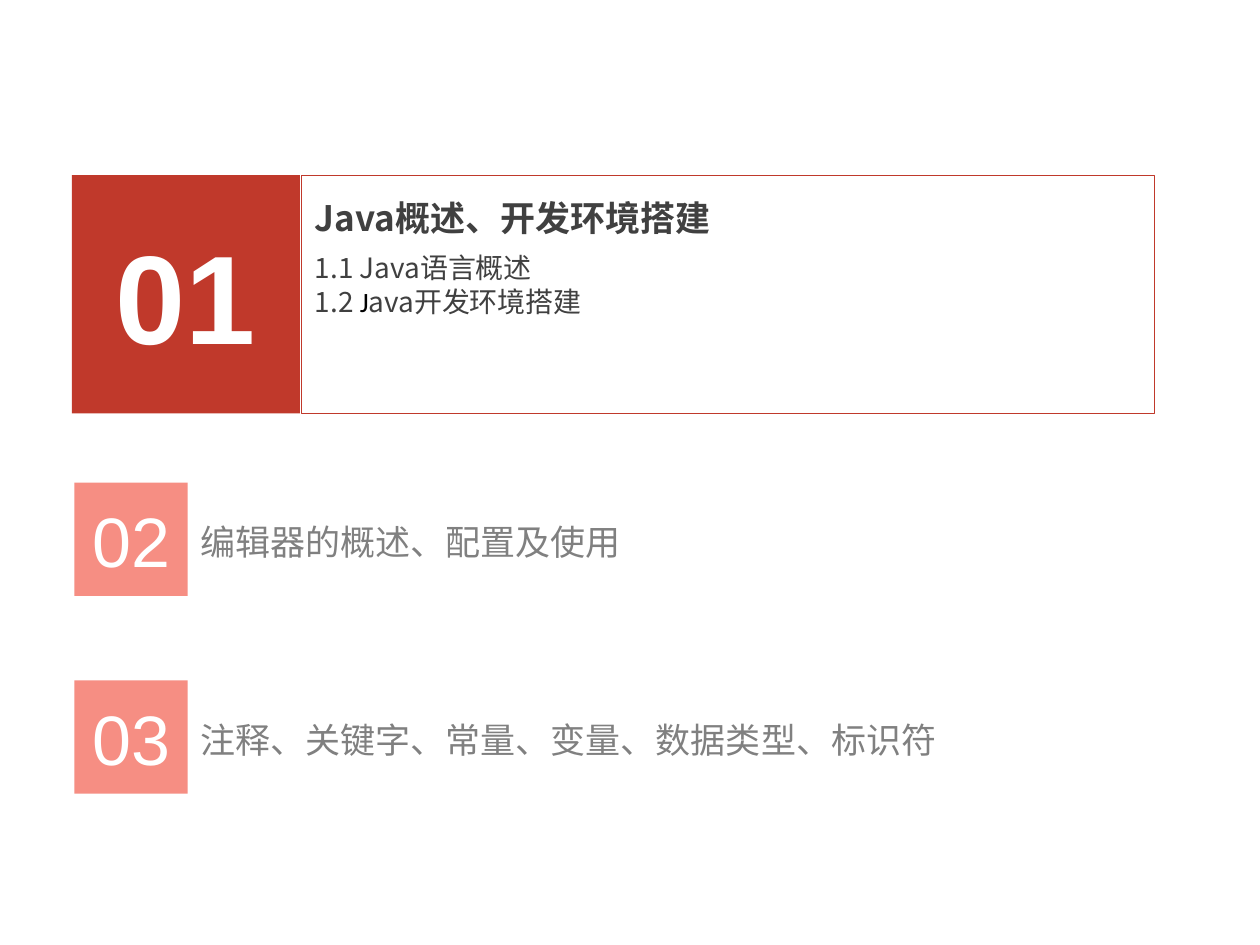
"""Build an agenda slide with one open chapter and two upcoming chapters."""
import pptx
import pptx.dml.color
import pptx.enum.shapes
import pptx.enum.text
import pptx.oxml
import pptx.oxml.ns
import pptx.util
from pptx.util import Inches

RED = pptx.dml.color.RGBColor(0xC0, 0x39, 0x2B)
CORAL = pptx.dml.color.RGBColor(0xF4, 0x72, 0x64)
WHITE = pptx.dml.color.RGBColor(0xFF, 0xFF, 0xFF)
BLACK = pptx.dml.color.RGBColor(0, 0, 0)
DARK = pptx.dml.color.RGBColor(0x40, 0x40, 0x40)
GRAY = pptx.dml.color.RGBColor(0x80, 0x80, 0x80)
CHINESE_FONT = "Noto Sans CJK SC"

OPEN_NUMBER = {"name": "Arial", "size": 72, "bold": True, "color": WHITE}
OPEN_TITLE = {"name": CHINESE_FONT, "size": 20, "bold": True, "color": DARK}
SECTION = {"name": CHINESE_FONT, "size": 16, "color": DARK}
SECTION_INITIAL = {"name": "Calibri", "size": 16, "color": BLACK}
NEXT_NUMBER = {"name": "Arial", "size": 40, "color": WHITE}
NEXT_TITLE = {"name": CHINESE_FONT, "size": 20, "color": GRAY}

OPEN_CHAPTER = ("01", "Java概述、开发环境搭建")
SECTIONS = [
    [("1.1 Java语言概述", SECTION)],
    [("1.2 ", SECTION), ("J", SECTION_INITIAL), ("ava开发环境搭建", SECTION)],
]
NEXT_CHAPTERS = [
    ("02", "编辑器的概述、配置及使用"),
    ("03", "注释、关键字、常量、变量、数据类型、标识符"),
]

OPEN_TOP, OPEN_HEIGHT = 1.39, 1.89
NEXT_LEFT, NEXT_TOP, NEXT_STEP, NEXT_SIDE = 0.59, 3.83, 1.57, 0.9
TITLE_HEIGHT = 0.44


def write_paragraphs(frame, paragraphs):
    for index, runs in enumerate(paragraphs):
        paragraph = frame.paragraphs[0] if index == 0 else frame.add_paragraph()
        for text, style in runs:
            run = paragraph.add_run()
            run.text = text
            for key, value in style.items():
                if key == "color":
                    run.font.color.rgb = value
                elif key == "size":
                    run.font.size = pptx.util.Pt(value)
                else:
                    setattr(run.font, key, value)
            east_asian = pptx.oxml.parse_xml(
                f'<a:ea {pptx.oxml.ns.nsdecls("a")} typeface="{CHINESE_FONT}"/>')
            run.font._element.append(east_asian)


def add_text(slide, box, paragraphs):
    frame = slide.shapes.add_textbox(*map(Inches, box)).text_frame
    frame.word_wrap = True
    write_paragraphs(frame, paragraphs)


def add_rectangle(slide, box):
    shape = slide.shapes.add_shape(
        pptx.enum.shapes.MSO_SHAPE.RECTANGLE, *map(Inches, box))
    shape.shadow.inherit = False
    return shape


def add_number(slide, box, number, style, color):
    shape = add_rectangle(slide, box)
    shape.fill.solid()
    shape.fill.fore_color.rgb = color
    shape.line.fill.background()
    frame = shape.text_frame
    frame.vertical_anchor = pptx.enum.text.MSO_ANCHOR.MIDDLE
    write_paragraphs(frame, [[(number, style)]])
    frame.paragraphs[0].alignment = pptx.enum.text.PP_ALIGN.CENTER
    return shape


def set_opacity(shape, percent):
    color = shape.fill._xPr.find(".//" + pptx.oxml.ns.qn("a:srgbClr"))
    color.append(pptx.oxml.parse_xml(
        f'<a:alpha {pptx.oxml.ns.nsdecls("a")} val="{percent * 1000}"/>'))


def add_open_chapter(slide):
    number, title = OPEN_CHAPTER
    add_number(slide, (0.57, OPEN_TOP, 1.81, OPEN_HEIGHT), number, OPEN_NUMBER, RED)
    add_text(slide, (2.4, 1.51, 7.4, TITLE_HEIGHT), [[(title, OPEN_TITLE)]])
    add_text(slide, (2.4, 1.94, 6.7, 1.18), SECTIONS)
    frame = add_rectangle(slide, (2.39, OPEN_TOP, 6.77, OPEN_HEIGHT))
    frame.fill.background()
    frame.line.color.rgb = RED
    frame.line.width = pptx.util.Pt(0.5)


def add_next_chapters(slide):
    for index, (number, title) in enumerate(NEXT_CHAPTERS):
        top = NEXT_TOP + index * NEXT_STEP
        square = add_number(slide, (NEXT_LEFT, top, NEXT_SIDE, NEXT_SIDE),
                            number, NEXT_NUMBER, CORAL)
        set_opacity(square, 80)
        title_top = top + 0.25
        add_text(slide, (NEXT_LEFT + NEXT_SIDE, title_top, 6.43, TITLE_HEIGHT),
                 [[(title, NEXT_TITLE)]])


def main():
    presentation = pptx.Presentation()
    presentation.slide_width = Inches(10)
    presentation.slide_height = Inches(7.5)
    slide = presentation.slides.add_slide(presentation.slide_layouts[6])
    add_open_chapter(slide)
    add_next_chapters(slide)
    presentation.save("out.pptx")


if __name__ == "__main__":
    main()
